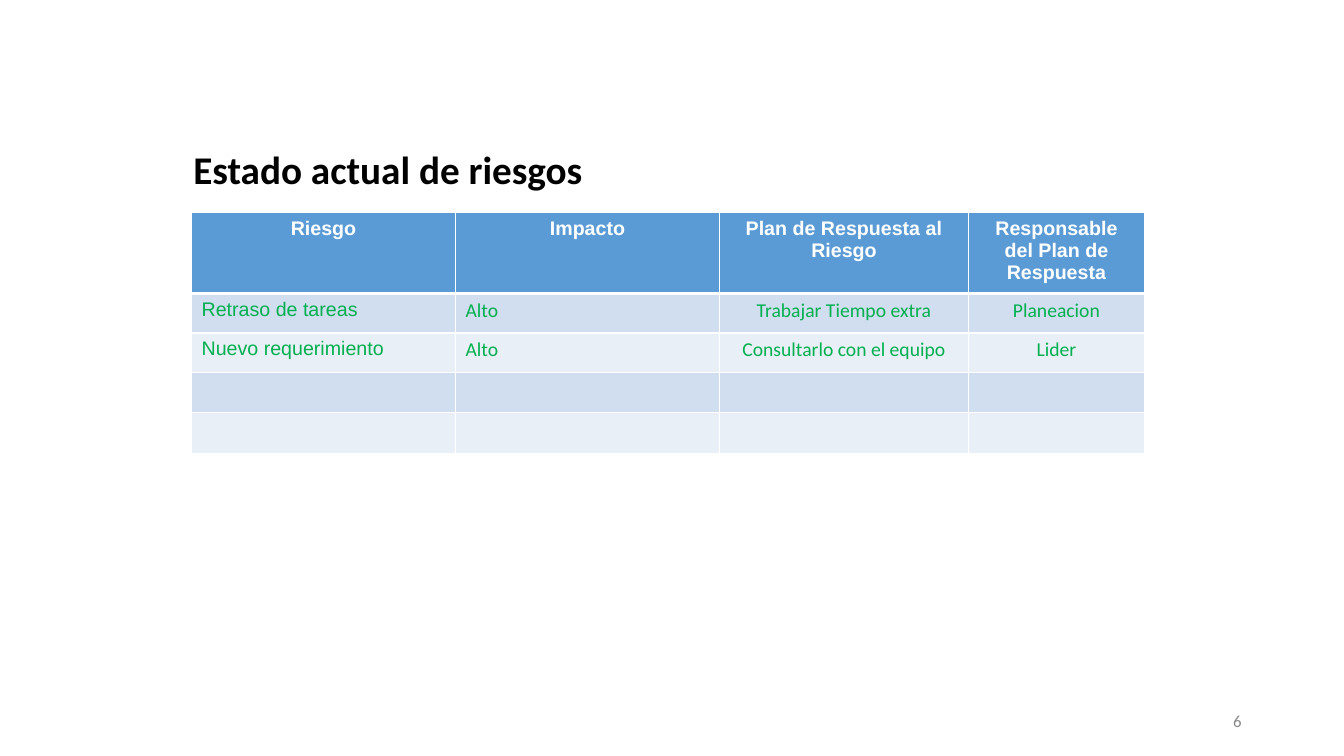
from dataclasses import dataclass

from lxml.etree import SubElement
from pptx import Presentation
from pptx.dml.color import RGBColor
from pptx.enum.text import MSO_ANCHOR as Anchor, PP_ALIGN as Align
from pptx.oxml.ns import qn
from pptx.slide import Slide
from pptx.util import Pt

COLORS = {
    "title": "000000",
    "number": "888888",
    "white": "FFFFFF",
    "header": "5B9BD5",
    "odd_row": "D0DEEF",
    "even_row": "E9EFF7",
    "risk": "00B050",
}
COLUMN_WIDTHS = [188.6, 188.6, 177.8, 125.8]
HEADER_HEIGHT = 55
ROW_HEIGHT = 28.2
RISK_ROWS = [
    ["Riesgo", "Impacto", "Plan de Respuesta al Riesgo", "Responsable del Plan de Respuesta"],
    ["Retraso de tareas", "Alto", "Trabajar Tiempo extra", "Planeacion"],
    ["Nuevo requerimiento", "Alto", "Consultarlo con el equipo", "Lider"],
    [""] * 4,
    [""] * 4,
]


@dataclass
class SlideBuilder:
    """Draw styled text and tables on one slide."""

    slide: Slide
    body_font: str = "Calibri"
    table_font: str = "Arial"
    table_size: float = 14

    def fill_paragraph(self, paragraph, text, size, color, font, bold=False, align=Align.LEFT):
        paragraph.alignment = align
        run = paragraph.add_run()
        run.text = text
        run.font.size = Pt(size)
        run.font.name = font
        run.font.bold = bold
        run.font.color.rgb = RGBColor.from_string(COLORS[color])

    def text(self, text, left, top, width, height, size, color, **style):
        box = self.slide.shapes.add_textbox(Pt(left), Pt(top), Pt(width), Pt(height))
        frame = box.text_frame
        frame.word_wrap = True
        frame.vertical_anchor = Anchor.MIDDLE
        self.fill_paragraph(frame.paragraphs[0], text, size, color, self.body_font, **style)

    def borders(self, cell, top, bottom):
        properties = cell._tc.get_or_add_tcPr()
        for side, width in (("L", 1), ("R", 1), ("T", top), ("B", bottom)):
            line = SubElement(properties, qn(f"a:ln{side}"), w=str(Pt(width)))
            fill = SubElement(line, qn("a:solidFill"))
            SubElement(fill, qn("a:srgbClr"), val=COLORS["white"])

    def cell(self, cell, text, row, column):
        header = row == 0
        self.borders(cell, top=3 if row == 1 else 1, bottom=3 if header else 1)
        fill = "header" if header else "odd_row" if row % 2 else "even_row"
        cell.fill.solid()
        cell.fill.fore_color.rgb = RGBColor.from_string(COLORS[fill])
        self.fill_paragraph(
            cell.text_frame.paragraphs[0],
            text,
            self.table_size,
            "white" if header else "risk",
            self.table_font if header or column == 0 else self.body_font,
            bold=header,
            align=Align.CENTER if header or column > 1 else Align.LEFT,
        )

    def table(self, rows, left, top, widths, heights):
        frame = self.slide.shapes.add_table(
            len(rows), len(widths), Pt(left), Pt(top), Pt(sum(widths)), Pt(sum(heights))
        )
        table = frame.table
        for column, width in zip(table.columns, widths):
            column.width = Pt(width)
        for row, height in zip(table.rows, heights):
            row.height = Pt(height)
        for row, texts in enumerate(rows):
            for column, text in enumerate(texts):
                self.cell(table.cell(row, column), text, row, column)


presentation = Presentation()
presentation.slide_width = Pt(960)
presentation.slide_height = Pt(540)
builder = SlideBuilder(presentation.slides.add_slide(presentation.slide_layouts[6]))

builder.text("Estado actual de riesgos", 131, 106.5, 612, 28, 28, "title", bold=True)
builder.text("6", 678, 500.5, 216, 28.8, 12, "number", align=Align.RIGHT)
row_heights = [HEADER_HEIGHT] + [ROW_HEIGHT] * (len(RISK_ROWS) - 1)
builder.table(RISK_ROWS, 136.8, 152, COLUMN_WIDTHS, row_heights)

presentation.save("out.pptx")
